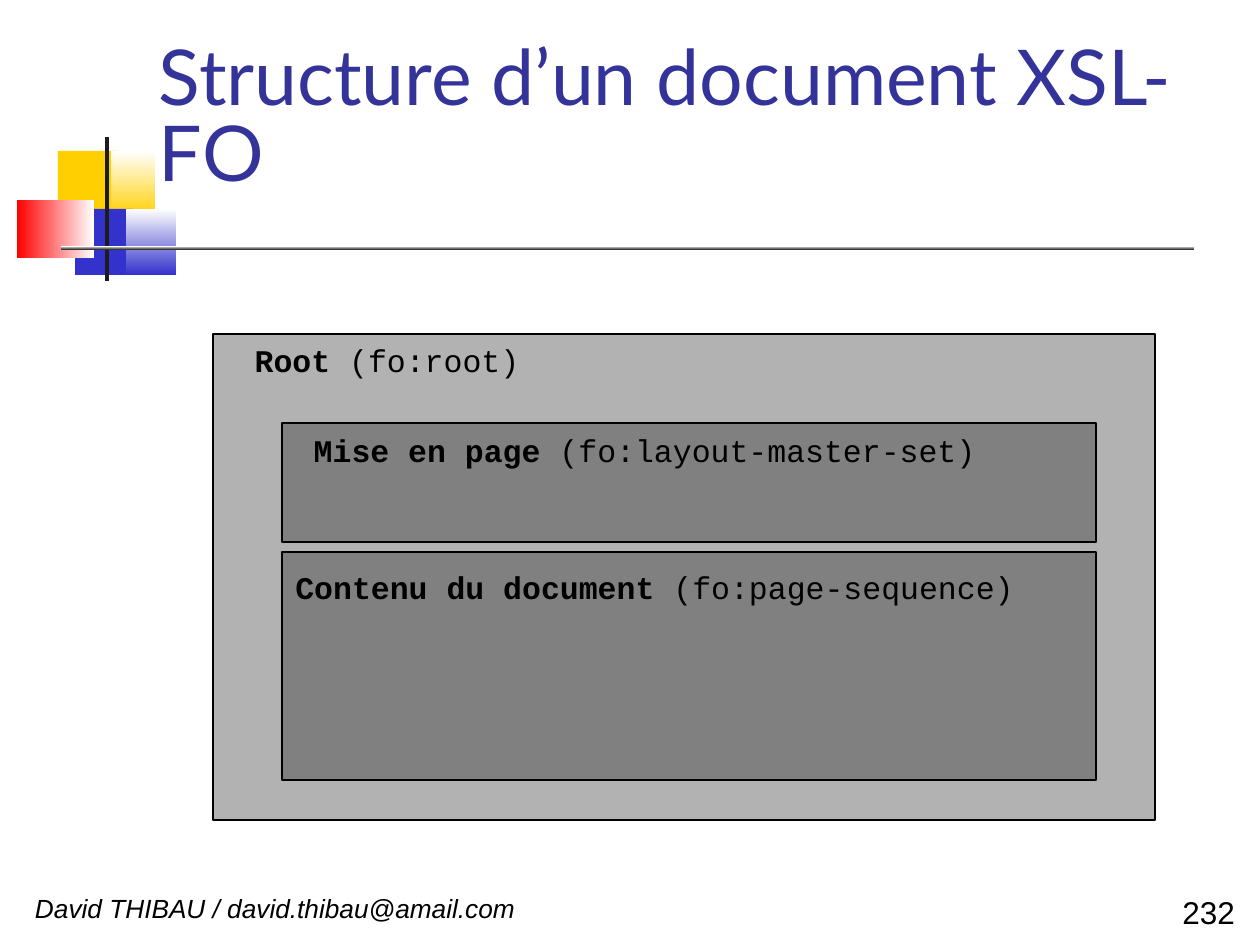
from dataclasses import dataclass

from pptx import Presentation
from pptx.dml.color import RGBColor
from pptx.enum.shapes import MSO_SHAPE
from pptx.enum.text import MSO_ANCHOR, MSO_AUTO_SIZE, PP_ALIGN
from pptx.util import Emu, Pt

RECTANGLE = MSO_SHAPE.RECTANGLE
MIDDLE, TOP = MSO_ANCHOR.MIDDLE, MSO_ANCHOR.TOP
NO_FIT, GROW = MSO_AUTO_SIZE.NONE, MSO_AUTO_SIZE.SHAPE_TO_FIT_TEXT
LEFT, CENTER, RIGHT = PP_ALIGN.LEFT, PP_ALIGN.CENTER, PP_ALIGN.RIGHT


@dataclass(frozen=True)
class Theme:
    yellow: str = "FFCF01"
    blue: str = "3333CC"
    red: str = "FF0000"
    white: str = "FFFFFF"
    dark: str = "1C1C1C"
    black: str = "000000"
    title: str = "333399"
    outer: str = "B2B2B2"
    inner: str = "808080"
    title_font: str = "Lato"
    code_font: str = "Courier New"
    footer_font: str = "Arial"
    title_size: int = 44
    text_size: int = 18
    footer_size: int = 15
    line_width: float = 0.75
    title_spacing: float = 0.82
    text_spacing: float = 0.76


THEME = Theme()
EMU_PER_PX = 914400 // 126
PAGE_SIZE = (1260, 945)
LABEL_INSETS = (6, 6)

TITLE = "Structure d’un document XSL-FO"
TITLE_AREA = (159, 11, 1073, 219)
AUTHOR = "David THIBAU / david.thibau@amail.com"
AUTHOR_AREA = (35, 899, 1072, 24)
PAGE_NUMBER = "232"
NUMBER_AREA = (1091, 902, 144, 29)

ORNAMENTS = [
    ((58, 151, 60, 66), (THEME.yellow,), 0),
    ((111, 151, 44, 66), (THEME.yellow, THEME.white), 90),
    ((75, 209, 58, 66), (THEME.blue,), 0),
    ((126, 209, 50, 66), (THEME.blue, THEME.white), 90),
    ((17, 200, 77, 58), (THEME.white, THEME.red), 180),
    ((105, 137, 4, 144), (THEME.dark,), 0),
    ((61, 246, 1133, 4), (THEME.dark, THEME.white), 90),
]

BLOCKS = [
    ((213, 334, 942, 486), THEME.outer, "Root", " (fo:root)", (242, 344, 290, 42)),
    ((282, 423, 814, 119), THEME.inner, "Mise en page",
     " (fo:layout-master-set)", (301, 434, 687, 42)),
    ((282, 552, 814, 228), THEME.inner, "Contenu du document",
     " (fo:page-sequence)", (283, 571, 743, 42)),
]


def px(value):
    return Emu(value * EMU_PER_PX)


def color(value):
    return RGBColor.from_string(value)


def add_rectangle(page, area, colors, angle=0, outlined=False):
    shape = page.shapes.add_shape(RECTANGLE, *map(px, area))
    shape.shadow.inherit = False
    if len(colors) == 1:
        shape.fill.solid()
        shape.fill.fore_color.rgb = color(colors[0])
    else:
        shape.fill.gradient()
        shape.fill.gradient_angle = angle
        for stop, value in zip(shape.fill.gradient_stops, colors):
            stop.color.rgb = color(value)
    if outlined:
        shape.line.color.rgb = color(THEME.black)
        shape.line.width = Pt(THEME.line_width)
    else:
        shape.line.fill.background()


def fill_text(box, spans, font, size, align=LEFT, ink=THEME.black, spacing=THEME.text_spacing,
              insets=(0, 0), wrap=True, anchor=TOP, fit=GROW):
    frame = box.text_frame
    frame.margin_left = frame.margin_right = px(insets[0])
    frame.margin_top = frame.margin_bottom = px(insets[1])
    frame.word_wrap = wrap
    frame.auto_size = fit
    frame.vertical_anchor = anchor
    para = frame.paragraphs[0]
    para.alignment = align
    para.line_spacing = spacing
    for text, bold, italic in spans:
        span = para.add_run()
        span.text = text
        span.font.name = font
        span.font.size = Pt(size)
        span.font.bold = bold
        span.font.italic = italic
        span.font.color.rgb = color(ink)


def add_text(page, area, spans, font, size, **options):
    fill_text(page.shapes.add_textbox(*map(px, area)), spans, font, size, **options)


def main():
    deck = Presentation()
    deck.slide_width, deck.slide_height = map(px, PAGE_SIZE)
    page = deck.slides.add_slide(deck.slide_layouts[5])

    for area, colors, angle in ORNAMENTS:
        add_rectangle(page, area, colors, angle)

    title = page.shapes.title
    title.left, title.top, title.width, title.height = map(px, TITLE_AREA)
    fill_text(title, [(TITLE, False, False)], THEME.title_font, THEME.title_size,
              ink=THEME.title, spacing=THEME.title_spacing, anchor=MIDDLE, fit=NO_FIT)

    for area, fill, name, tag, label_area in BLOCKS:
        add_rectangle(page, area, (fill,), outlined=True)
        add_text(page, label_area, [(name, True, False), (tag, False, False)],
                 THEME.code_font, THEME.text_size, align=CENTER,
                 insets=LABEL_INSETS, wrap=False, fit=NO_FIT)

    add_text(page, AUTHOR_AREA, [(AUTHOR, False, True)], THEME.footer_font, THEME.footer_size)
    add_text(page, NUMBER_AREA, [(PAGE_NUMBER, False, False)], THEME.footer_font,
             THEME.text_size, align=RIGHT, wrap=False)
    deck.save("out.pptx")


if __name__ == "__main__":
    main()
